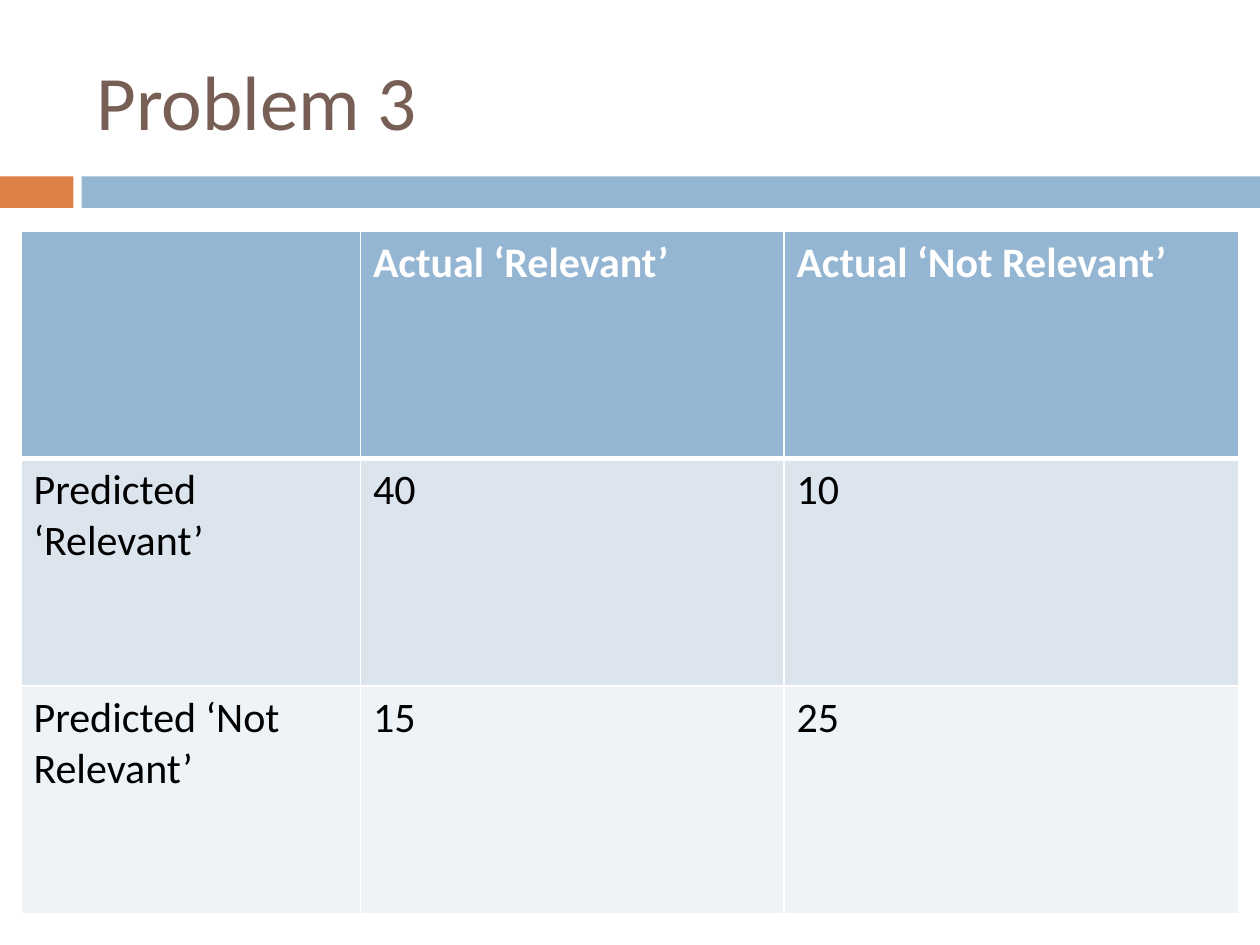
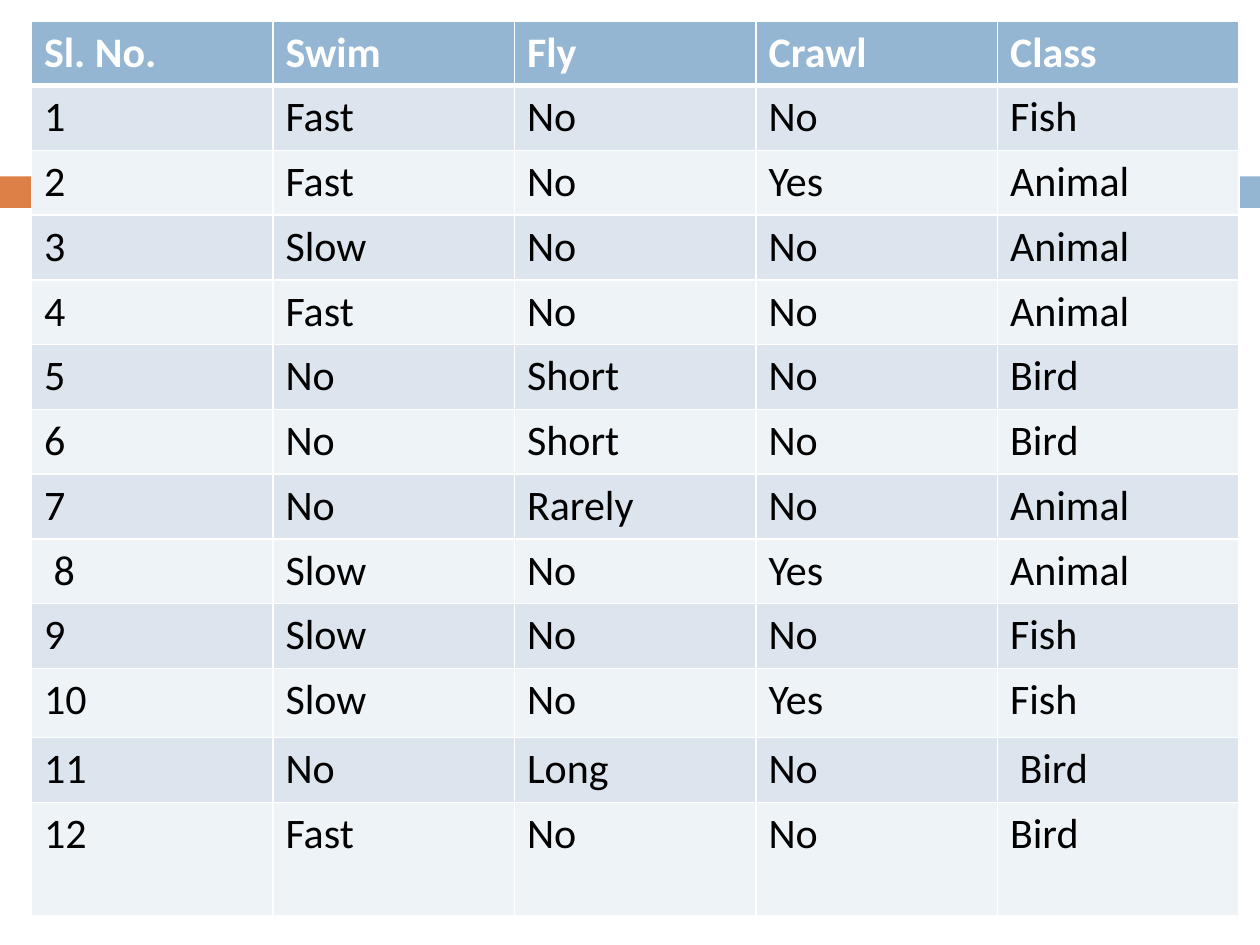
from lxml import etree
from pptx import Presentation
from pptx.dml import color
from pptx.enum import shapes, text
from pptx.oxml import ns
from pptx.util import Pt

FONT = "Calibri"
WHITE, BLACK, BROWN = "FFFFFF", "000000", "775F55"
ORANGE, BLUE = "DD8047", "94B6D2"
ROW_FILLS = ("DCE5EE", "EEF3F7")
SLIDE_WIDTH, SLIDE_HEIGHT = 720, 540

CONFUSION = [
    ["", "Actual ‘Relevant’", "Actual ‘Not Relevant’"],
    ["Predicted ‘Relevant’", "40", "10"],
    ["Predicted ‘Not Relevant’", "15", "25"],
]
ANIMALS = [
    ["Sl. No.", "Swim", "Fly", "Crawl", "Class"],
    ["1", "Fast", "No", "No", "Fish"],
    ["2", "Fast", "No", "Yes", "Animal"],
    ["3", "Slow", "No", "No", "Animal"],
    ["4", "Fast", "No", "No", "Animal"],
    ["5", "No", "Short", "No", "Bird"],
    ["6", "No", "Short", "No", "Bird"],
    ["7", "No", "Rarely", "No", "Animal"],
    [" 8", "Slow", "No", "Yes", "Animal"],
    ["9", "Slow", "No", "No", "Fish"],
    ["10", "Slow", "No", "Yes", "Fish"],
    ["11", "No", "Long", "No", " Bird"],
    ["12", "Fast", "No", "No", "Bird"],
]


def rgb(hex_code):
    return color.RGBColor.from_string(hex_code)


def paint(part, hex_code):
    part.fill.solid()
    part.fill.fore_color.rgb = rgb(hex_code)


def style(paragraph, size, hex_code, bold=False):
    font = paragraph.font
    font.name, font.size, font.bold = FONT, Pt(size), bold
    font.color.rgb = rgb(hex_code)


def add_band(slide, left, top, width, height):
    """Orange tab, a narrow gap, then the blue bar to the right edge."""
    tab, gap = 42, 4.6
    bar_left = left + tab + gap
    for x, w, fill in ((left, tab, ORANGE), (bar_left, left + width - bar_left, BLUE)):
        block = slide.shapes.add_shape(
            shapes.MSO_SHAPE.RECTANGLE, Pt(x), Pt(top), Pt(w), Pt(height))
        block.shadow.inherit = False
        paint(block, fill)
        block.line.fill.background()


def add_title(slide, left, top, width, height, words):
    title = slide.shapes.add_textbox(Pt(left), Pt(top), Pt(width), Pt(height))
    frame = title.text_frame
    frame.word_wrap = True
    frame.vertical_anchor = text.MSO_ANCHOR.MIDDLE
    frame.text = words
    style(frame.paragraphs[0], 44, BROWN)


def add_borders(cell, top, bottom):
    """White rules around a cell; the edges stand before the fill in its XML."""
    properties = cell._tc.get_or_add_tcPr()
    edges = (("a:lnL", 1), ("a:lnR", 1), ("a:lnT", top), ("a:lnB", bottom))
    for position, (tag, weight) in enumerate(edges):
        edge = etree.Element(ns.qn(tag), w=str(Pt(weight)))
        fill = etree.SubElement(edge, ns.qn("a:solidFill"))
        etree.SubElement(fill, ns.qn("a:srgbClr"), val=WHITE)
        properties.insert(position, edge)


def add_grid(slide, left, top, widths, heights, rows):
    """Table with a blue heading row, a heavy rule below it and banded rows."""
    table = slide.shapes.add_table(
        len(rows), len(widths), Pt(left), Pt(top), Pt(sum(widths)), Pt(sum(heights))).table
    for column, width in zip(table.columns, widths):
        column.width = Pt(width)
    for r, (row, height, words) in enumerate(zip(table.rows, heights, rows)):
        heading = r == 0
        row.height = Pt(height)
        for cell, word in zip(row.cells, words):
            cell.text = word
            style(cell.text_frame.paragraphs[0], 24, WHITE if heading else BLACK, heading)
            paint(cell, BLUE if heading else ROW_FILLS[(r - 1) % 2])
            add_borders(cell, top=3 if r == 1 else 1, bottom=3 if heading else 1)


def new_slide(deck):
    slide = deck.slides.add_slide(deck.slide_layouts[6])
    add_band(slide, 0, 100.8, SLIDE_WIDTH, 18)
    return slide


def main():
    deck = Presentation()
    deck.slide_width, deck.slide_height = Pt(SLIDE_WIDTH), Pt(SLIDE_HEIGHT)

    # Confusion matrix
    problem = new_slide(deck)
    add_title(problem, 48, 18, 642, 78, "Problem 3")
    add_grid(problem, 12, 132, [194, 242, 260], [130] * 3, CONFUSION)

    # Animal observations
    observations = new_slide(deck)
    add_grid(observations, 18, 12, [138] * 5, [37] * 10 + [39.6, 37, 64.8], ANIMALS)

    deck.save("out.pptx")


if __name__ == "__main__":
    main()
